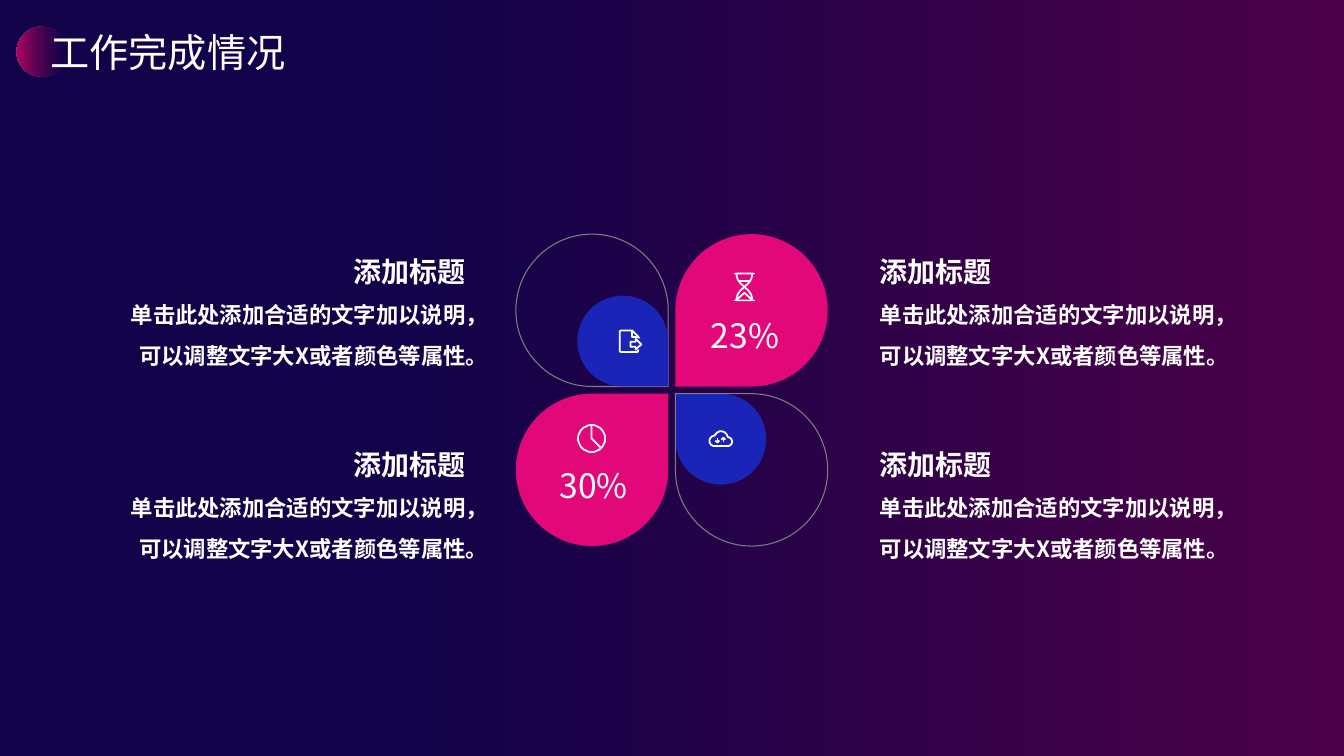
import math

import pptx
import pptx.dml.color
import pptx.enum.shapes
import pptx.enum.text
import pptx.oxml
import pptx.oxml.ns
import pptx.util
from pptx.util import Cm


class Theme:
    font = "Noto Sans CJK SC"
    white, pink, blue, grey = "FFFFFF", "E2087A", "1A25B8", "7F7F7F"
    night, plum = "120249", "4B0147"
    badge_start, badge_end = "B30660", "570152"
    title_size, percent_size, heading_size, body_size = 28, 24, 20, 16
    outline, icon_line = 0.75, 1.25


def arc(cx, cy, radius, start, end, steps=24):
    """Points along an arc, angles in degrees running clockwise."""
    angles = [math.radians(start + (end - start) * i / steps) for i in range(steps + 1)]
    return [(cx + radius * math.cos(a), cy + radius * math.sin(a)) for a in angles]


# Content
TITLE = "工作完成情况"
HEADING = "添加标题"
BODY = "单击此处添加合适的文字加以说明，可以调整文字大X或者颜色等属性。"

# Petals: column side, row side, size in cm, fill, outline, turn
PETALS = [
    (-1, 1, 3.84, Theme.pink, None, 0),
    (1, 1, 2.29, Theme.blue, None, 270),
    (1, -1, 3.84, Theme.pink, None, 180),
    (-1, -1, 3.84, None, Theme.grey, 90),
    (-1, -1, 2.29, Theme.blue, None, 90),
    (1, 1, 3.84, None, Theme.grey, 270),
]
PERCENTS = [("30%", 13.82, 11.58), ("23%", 17.63, 7.8)]

# Icons: left and top in cm, then strokes (closed, points in 0.01 cm)
ICONS = {
    "cloud": (17.86, 10.85, [
        (True, arc(15, 26, 13, 90, 260) + arc(31, 19, 17, 200, 350) + arc(48, 28, 11, -80, 90)),
        (False, [(22, 18), (22, 30)]),
        (False, [(17, 25), (22, 30), (27, 25)]),
        (False, [(37, 30), (37, 18)]),
        (False, [(32, 23), (37, 18), (42, 23)]),
    ]),
    "hourglass": (18.47, 6.86, [
        (False, [(2, 3), (56, 3)]),
        (False, [(2, 71), (56, 71)]),
        (True, [(8, 3), (12, 18), (19, 28), (29, 37), (19, 46), (12, 56), (8, 71),
                (50, 71), (46, 56), (39, 46), (29, 37), (39, 28), (46, 18), (50, 3)]),
        (False, [(13, 23), (45, 23)]),
        (False, [(10, 69), (29, 52), (48, 69)]),
    ]),
    "clock": (14.55, 10.69, [
        (True, arc(36, 36, 34, 0, 360, 48)),
        (False, [(36, 3), (36, 36), (58, 58)]),
    ]),
    "document": (15.6, 8.31, [
        (False, [(49, 50), (47, 56), (4, 56), (2, 54), (2, 4), (4, 2), (33, 2), (50, 19), (49, 22)]),
        (False, [(32, 3), (32, 18), (49, 18)]),
        (True, [(29, 30), (42, 30), (42, 23), (56, 37), (42, 50), (42, 43), (29, 43)]),
    ]),
}

# Layout in cm
CENTRE_X, CENTRE_Y, HALF_GAP = 16.93, 9.83, 0.09
ALIGN = pptx.enum.text.PP_ALIGN
TEXT_COLUMNS = [(22.17, 9.32, ALIGN.LEFT), (2.95, 8.79, ALIGN.RIGHT)]
TEXT_ROWS, TEXT_HEIGHT = [5.99, 10.85], 3.33


def rgb(colour):
    return pptx.dml.color.RGBColor.from_string(colour)


def place(part, left, top, width, height):
    part.left, part.top, part.width, part.height = Cm(left), Cm(top), Cm(width), Cm(height)


def gradient(fill, *stops):
    fill.gradient()
    fill.gradient_angle = 0
    for stop, (position, colour) in zip(fill.gradient_stops, stops):
        stop.position = position
        stop.color.rgb = rgb(colour)


def style(paragraph, size, align, bold=False):
    paragraph.alignment = align
    paragraph.space_before = pptx.util.Pt(0)
    for run in paragraph.runs:
        run.font.size, run.font.bold = pptx.util.Pt(size), bold
        run.font.color.rgb = rgb(Theme.white)
        run.font.name = Theme.font
        east_asian = pptx.oxml.parse_xml(
            f'<a:ea {pptx.oxml.ns.nsdecls("a")} typeface="{Theme.font}"/>')
        run.font._element.append(east_asian)


def add_title(slide):
    title = slide.shapes.title
    place(title, 1.02, 0.58, 6.68, 1.45)
    title.text_frame.text = TITLE
    title.text_frame.auto_size = pptx.enum.text.MSO_AUTO_SIZE.NONE
    style(title.text_frame.paragraphs[0], Theme.title_size, ALIGN.LEFT)

    # Fading disc behind the title
    badge = slide.shapes.add_shape(
        pptx.enum.shapes.MSO_SHAPE.OVAL, Cm(0.41), Cm(0.66), Cm(1.27), Cm(1.27))
    badge.shadow.inherit = False
    badge.line.fill.background()
    gradient(badge.fill, (0, Theme.badge_start), (1, Theme.badge_end))
    faded = badge._element.spPr.findall(".//" + pptx.oxml.ns.qn("a:srgbClr"))[-1]
    faded.append(pptx.oxml.parse_xml(f'<a:alpha {pptx.oxml.ns.nsdecls("a")} val="0"/>'))
    title._element.addprevious(badge._element)


def add_petal(slide, column, row, size, fill, outline, turn):
    offset = HALF_GAP + size / 2
    petal = slide.shapes.add_shape(
        pptx.enum.shapes.MSO_SHAPE.TEAR,
        Cm(CENTRE_X + column * offset - size / 2), Cm(CENTRE_Y + row * offset - size / 2),
        Cm(size), Cm(size))
    petal.rotation = turn
    petal.shadow.inherit = False
    if fill:
        petal.fill.solid()
        petal.fill.fore_color.rgb = rgb(fill)
    else:
        petal.fill.background()
    if outline:
        petal.line.color.rgb = rgb(outline)
        petal.line.width = pptx.util.Pt(Theme.outline)
    else:
        petal.line.fill.background()


def add_stroke(slide, left, top, closed, points):
    if len(points) == 2:
        ends = [Cm(start + value / 100) for point in points
                for start, value in zip((left, top), point)]
        stroke = slide.shapes.add_connector(pptx.enum.shapes.MSO_CONNECTOR.STRAIGHT, *ends)
        stroke._element.spPr.append(
            pptx.oxml.parse_xml(f'<a:effectLst {pptx.oxml.ns.nsdecls("a")}/>'))
    else:
        builder = slide.shapes.build_freeform(*points[0], scale=Cm(0.01))
        builder.add_line_segments(points[1:], close=closed)
        stroke = builder.convert_to_shape(Cm(left), Cm(top))
        stroke.fill.background()
        stroke.shadow.inherit = False
    stroke.line.color.rgb = rgb(Theme.white)
    stroke.line.width = pptx.util.Pt(Theme.icon_line)


def add_percent(slide, value, left, top):
    percent = slide.shapes.add_textbox(Cm(left), Cm(top), Cm(2.29), Cm(1.27))
    percent.text_frame.word_wrap = False
    percent.text_frame.text = value
    style(percent.text_frame.paragraphs[0], Theme.percent_size, ALIGN.CENTER)


def fill_description(description, left, top, width, align):
    place(description, left, top, width, TEXT_HEIGHT)
    frame = description.text_frame
    frame.text = HEADING
    frame.add_paragraph().text = BODY
    frame.word_wrap = True
    frame.auto_size = pptx.enum.text.MSO_AUTO_SIZE.NONE
    frame.vertical_anchor = pptx.enum.text.MSO_ANCHOR.TOP
    frame.margin_left = frame.margin_right = frame.margin_top = frame.margin_bottom = 0
    for paragraph, size in zip(frame.paragraphs, (Theme.heading_size, Theme.body_size)):
        properties = paragraph._p.get_or_add_pPr()
        properties.set("marL", "0")
        properties.set("indent", "0")
        properties.append(pptx.oxml.parse_xml(f'<a:buNone {pptx.oxml.ns.nsdecls("a")}/>'))
        paragraph.line_spacing = 1.5
        style(paragraph, size, align, bold=True)


def main():
    deck = pptx.Presentation()
    deck.slide_width, deck.slide_height = Cm(33.87), Cm(19.05)
    slide = deck.slides.add_slide(deck.slide_layouts.get_by_name("Comparison"))
    gradient(slide.background.fill, (0.3, Theme.night), (1, Theme.plum))
    add_title(slide)

    # Flower with icons and percentages
    for petal in PETALS:
        add_petal(slide, *petal)
    for left, top, strokes in ICONS.values():
        for closed, points in strokes:
            add_stroke(slide, left, top, closed, points)
    for percent in PERCENTS:
        add_percent(slide, *percent)

    # Descriptions on both sides
    cells = [(left, top, width, align) for left, width, align in TEXT_COLUMNS for top in TEXT_ROWS]
    for index, cell in enumerate(cells, start=1):
        fill_description(slide.placeholders[index], *cell)
    deck.save("out.pptx")


if __name__ == "__main__":
    main()
